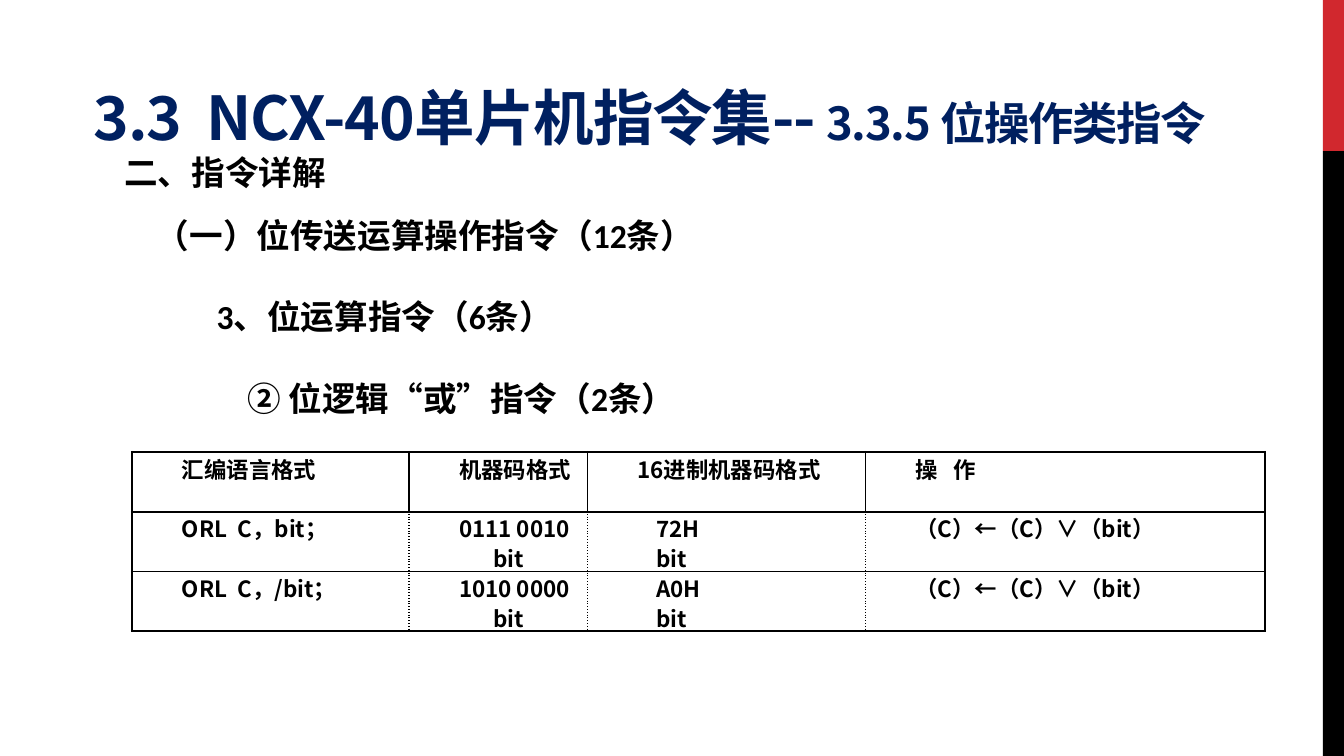
from dataclasses import dataclass

from lxml.etree import SubElement
from pptx import Presentation
from pptx.dml.color import RGBColor
from pptx.enum.shapes import MSO_SHAPE
from pptx.enum.text import MSO_ANCHOR, PP_ALIGN
from pptx.oxml.ns import qn
from pptx.util import Pt


@dataclass(frozen=True)
class Theme:
    red: str = "D1282E"
    black: str = "000000"
    navy: str = "002060"
    sans: str = "Noto Sans CJK SC"
    body: str = "Calibri"
    title_size: float = 32.4
    section_size: float = 24.3
    body_size: float = 18
    table_size: float = 12


theme = Theme()


def style_span(span, size, face, color=theme.black, bold=True):
    span.font.size = Pt(size)
    span.font.bold = bold
    span.font.name = face
    span.font.color.rgb = RGBColor.from_string(color)
    SubElement(span.font._element, qn("a:ea")).set("typeface", theme.sans)


def draw_border(cell, side, width, dash="solid"):
    line = SubElement(cell._tc.get_or_add_tcPr(), qn(f"a:ln{side}"))
    line.set("w", str(Pt(width)))
    if not width:
        SubElement(line, qn("a:noFill"))
        return
    fill = SubElement(line, qn("a:solidFill"))
    SubElement(fill, qn("a:srgbClr")).set("val", theme.black)
    SubElement(line, qn("a:prstDash")).set("val", dash)


deck = Presentation()
deck.slide_width, deck.slide_height = Pt(720), Pt(405)
page = deck.slides.add_slide(deck.slide_layouts[5])

# Side bars
for top, height, color in ((0, 81, theme.red), (81, 324, theme.black)):
    bar = page.shapes.add_shape(MSO_SHAPE.RECTANGLE, Pt(708.75), Pt(top), Pt(11.25), Pt(height))
    bar.shadow.inherit = False
    bar.fill.solid()
    bar.fill.fore_color.rgb = RGBColor.from_string(color)
    bar.line.fill.background()

# Title
title = page.shapes.title
title.left, title.top, title.width, title.height = Pt(43), Pt(36), Pt(646), Pt(49.5)
title.text_frame.vertical_anchor = MSO_ANCHOR.BOTTOM
para = title.text_frame.paragraphs[0]
para.alignment = PP_ALIGN.LEFT
for words, size, bold in (
    ("3.3  NCX-40单片机指令集--", theme.title_size, True),
    (" ", theme.section_size, False),
    ("3.3.5 位操作类指令", theme.section_size, True),
):
    span = para.add_run()
    span.text = words
    style_span(span, size, theme.sans, theme.navy, bold)
    span.font._element.set("spc", "-60")

# Outline: each line has its text and left indent
outlines = (
    (59.5, 78, 51, [("二、指令详解", 0)]),
    (76.5, 111.5, 117, [
        ("（一）位传送运算操作指令（12条）", 0),
        ("3、位运算指令（6条）", 32.5),
        ("② 位逻辑“或”指令（2条）", 49),
    ]),
)
for left, top, height, lines in outlines:
    box = page.shapes.add_textbox(Pt(left), Pt(top), Pt(595.5), Pt(height))
    box.text_frame.word_wrap = True
    box.text_frame.text = "\n".join(words for words, indent in lines)
    for number, (para, (words, indent)) in enumerate(zip(box.text_frame.paragraphs, lines)):
        para._p.get_or_add_pPr().set("marL", str(Pt(indent)))
        if number:
            para.space_before = Pt(22)
        style_span(para.runs[0], theme.body_size, theme.body)

# Instruction table
rows = (
    ("汇编语言格式", "机器码格式", "16进制机器码格式", "操   作"),
    ("ORL  C，bit；", "0111 0010", "72H", "（C）←（C）∨（bit）"),
    ("", "bit", "bit", ""),
    ("ORL  C，/bit；", "1010 0000", "A0H", "（C）←（C）∨（bit）"),
    ("", "bit", "bit", ""),
)
widths = (148.5, 95.5, 149, 214)
heights = (32, 16, 16, 16, 16)
grid = page.shapes.add_table(
    len(rows), len(widths), Pt(70.75), Pt(242.25), Pt(sum(widths)), Pt(sum(heights))
).table
grid.first_row = grid.horz_banding = False
for column, width in zip(grid.columns, widths):
    column.width = Pt(width)
for row, height in zip(grid.rows, heights):
    row.height = Pt(height)

last_row, last_column = len(rows) - 1, len(widths) - 1
for r, row in enumerate(rows):
    for c, words in enumerate(row):
        cell = grid.cell(r, c)
        cell.margin_left = cell.margin_right = Pt(5)
        cell.margin_top = cell.margin_bottom = 0
        cell.text = words
        para = cell.text_frame.paragraphs[0]
        centred = words == "bit" and c == 1
        para.alignment = PP_ALIGN.CENTER if centred else PP_ALIGN.JUSTIFY
        indent = 10.75 if centred else 31.75 if c == 2 and r else 21.75
        para._p.get_or_add_pPr().set("indent", str(Pt(indent)))
        if words:
            style_span(para.runs[0], theme.table_size, theme.sans)
        else:
            SubElement(para._p, qn("a:endParaRPr")).set("sz", str(int(theme.table_size * 100)))

        # Each instruction spans two rows with no rule between them
        inner_dash = "sysDot" if r else "solid"
        for side, at_edge in (("L", c == 0), ("R", c == last_column)):
            draw_border(cell, side, 1.5 if at_edge else 1, "solid" if at_edge else inner_dash)
        draw_border(cell, "T", 1.5 if r == 0 else r % 2)
        draw_border(cell, "B", 1.5 if r == last_row else 1 - r % 2)
        cell.fill.background()

deck.save("out.pptx")
